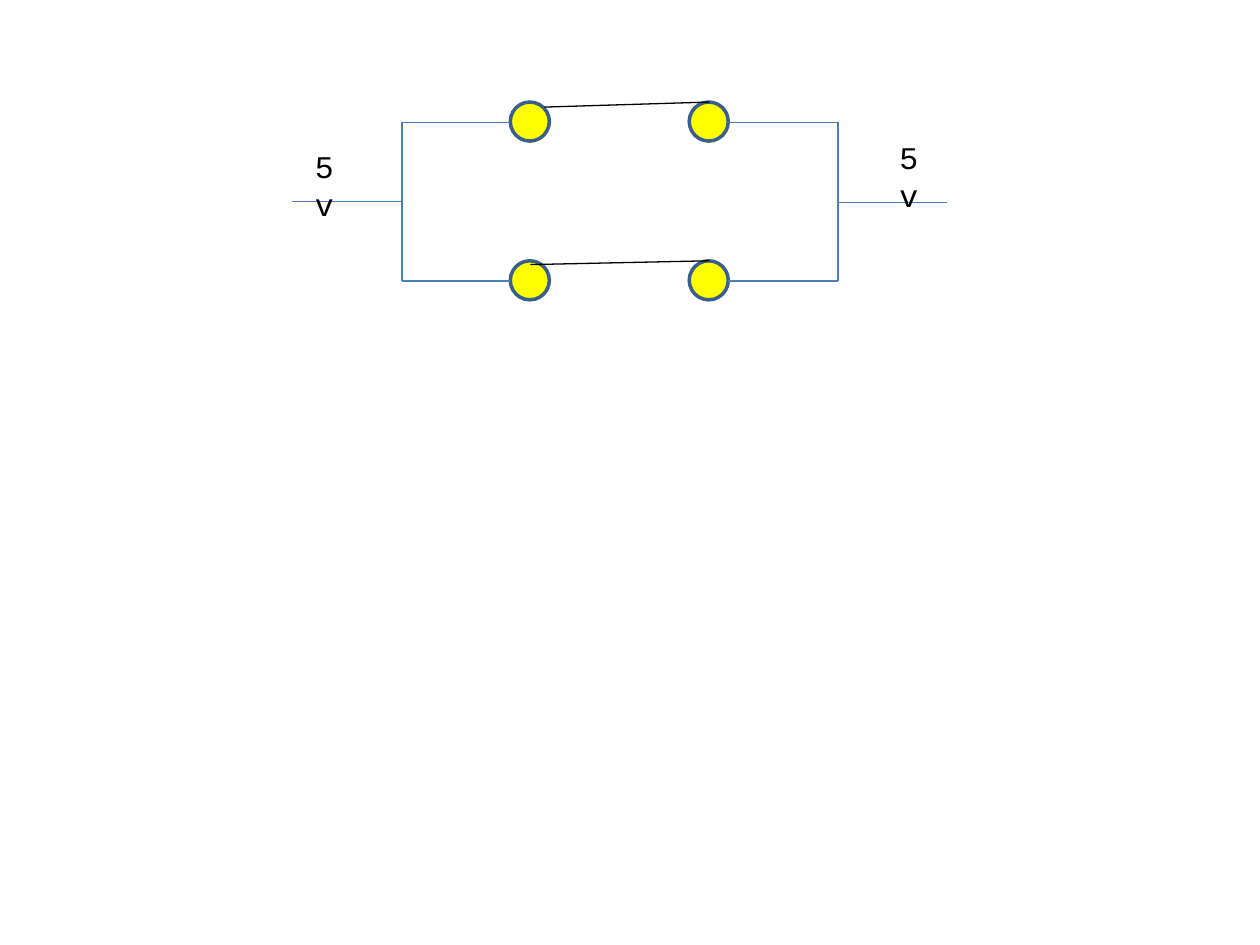
from pptx import Presentation
from pptx.dml.color import RGBColor
from pptx.enum.shapes import MSO_CONNECTOR, MSO_SHAPE
from pptx.enum.text import MSO_AUTO_SIZE
from pptx.oxml.ns import qn
from pptx.util import Inches, Pt
from lxml.etree import SubElement

YELLOW = RGBColor(0xFF, 0xFF, 0x00)
NAVY = RGBColor(0x3A, 0x5F, 0x8C)
BLUE = RGBColor(0x4B, 0x7E, 0xBC)
BLACK = RGBColor(0, 0, 0)


class Board:
    font = "Courier New"
    size = Pt(18)
    dot = 0.31

    def __init__(self, slide):
        self.shapes = slide.shapes

    def node(self, left, top):
        shape = self.shapes.add_shape(
            MSO_SHAPE.OVAL, Inches(left), Inches(top),
            Inches(self.dot), Inches(self.dot))
        shape.shadow.inherit = False
        shape.fill.solid()
        shape.fill.fore_color.rgb = YELLOW
        shape.line.color.rgb = NAVY
        shape.line.width = Pt(2)

    def wire(self, x1, y1, x2, y2, color=BLUE):
        line = self.shapes.add_connector(
            MSO_CONNECTOR.STRAIGHT, Inches(x1), Inches(y1),
            Inches(x2), Inches(y2))
        line.line.color.rgb = color
        line.line.width = Pt(0.75)
        SubElement(line._element.spPr, qn("a:effectLst"))

    def label(self, left, top, text):
        box = self.shapes.add_textbox(
            Inches(left), Inches(top), Inches(0.48), Inches(0.4))
        frame = box.text_frame
        frame.text = text
        frame.word_wrap = True
        frame.auto_size = MSO_AUTO_SIZE.SHAPE_TO_FIT_TEXT
        font = frame.paragraphs[0].runs[0].font
        font.name = self.font
        font.size = self.size
        font.color.rgb = BLACK


deck = Presentation()
deck.slide_width = Inches(10)
deck.slide_height = Inches(7.5)
board = Board(deck.slides.add_slide(deck.slide_layouts[6]))

LEFT, RIGHT = 3.19, 6.65
NODES = (4.05, 5.47)
ROWS = (0.97, 2.23)
LEAD = 0.87

for row in ROWS:
    for left in NODES:
        board.node(left, row - 0.16)
    board.wire(LEFT, row, NODES[0], row)
    board.wire(NODES[1] + board.dot, row, RIGHT, row)

for rail in (LEFT, RIGHT):
    board.wire(rail, ROWS[0], rail, ROWS[1])

board.wire(LEFT - LEAD, 1.6, LEFT, 1.6)
board.wire(RIGHT, 1.61, RIGHT + LEAD, 1.61)

board.label(2.4, 1.12, "5v")
board.wire(4.32, 0.85, 5.63, 0.81, BLACK)
board.wire(4.21, 2.1, 5.63, 2.07, BLACK)
board.label(7.04, 1.05, "5v")

deck.save("out.pptx")
